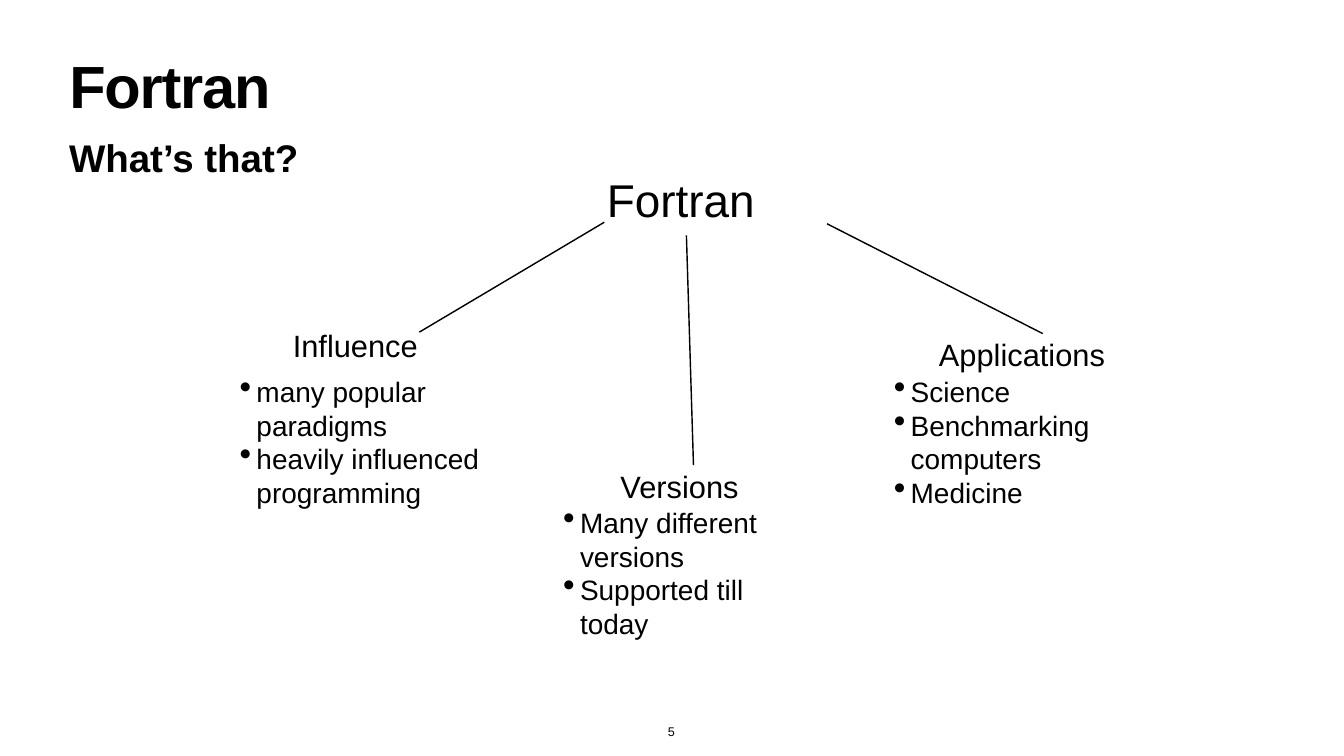
from typing import NamedTuple

from lxml import etree
from pptx import Presentation
from pptx.dml.color import RGBColor
from pptx.enum.shapes import MSO_CONNECTOR
from pptx.enum.text import MSO_ANCHOR, MSO_AUTO_SIZE, PP_ALIGN
from pptx.oxml.ns import qn
from pptx.util import Pt

BLACK = RGBColor(0, 0, 0)
WHITE = RGBColor(255, 255, 255)
FONT = "Arial"
TOP, BOTTOM = MSO_ANCHOR.TOP, MSO_ANCHOR.BOTTOM
LEFT, CENTER = PP_ALIGN.LEFT, PP_ALIGN.CENTER
NO_FIT, GROW = MSO_AUTO_SIZE.NONE, MSO_AUTO_SIZE.SHAPE_TO_FIT_TEXT
STRAIGHT = MSO_CONNECTOR.STRAIGHT
BULLET_INDENT = 24


class Area(NamedTuple):
    """A rectangle in points."""
    left: float
    top: float
    width: float
    height: float


class Branch(NamedTuple):
    """One topic below the root: heading, list and connecting line."""
    heading: str
    heading_area: Area
    items: list[str]
    list_area: Area
    line: tuple[float, float, float, float]


BRANCHES = [
    Branch("Influence", Area(414.7, 463.7, 219.6, 73.4),
           ["many popular paradigms", "heavily influenced programming"],
           Area(338.4, 531.4, 371.5, 201.6), (599, 474.5, 863.3, 317.5)),
    Branch("Versions", Area(882.7, 664.6, 215.3, 73.4),
           ["Many different versions", "Supported till today"],
           Area(800.6, 718.6, 317.5, 201.6), (990.7, 664.6, 980.6, 336.2)),
    Branch("Applications", Area(1337.8, 476.6, 304.6, 73.4),
           ["Science", "Benchmarking computers", "Medicine"],
           Area(1273, 531.4, 429.8, 250.6), (1489.7, 476.6, 1181.5, 319.7)),
]


def set_bullet(para, bulleted: bool) -> None:
    """Give a paragraph a hanging round bullet, or none at all."""
    properties = para._p.get_or_add_pPr()
    indent = Pt(BULLET_INDENT) if bulleted else 0
    properties.set("marL", str(indent))
    properties.set("indent", str(-indent))
    if bulleted:
        etree.SubElement(properties, qn("a:buSzPct")).set("val", "123000")
        etree.SubElement(properties, qn("a:buChar")).set("char", "•")
    else:
        etree.SubElement(properties, qn("a:buNone"))


def write(box, lines: list[str], area: Area, *, size: float, bold: bool = False,
          inset: float = 3.6, line_spacing: float = 1.0, letter_spacing: float = 0,
          bulleted: bool = False, align=LEFT, anchor=TOP, fit=NO_FIT,
          wrap: bool = True) -> None:
    """Place a text shape and fill it with formatted paragraphs."""
    box.left, box.top, box.width, box.height = (Pt(length) for length in area)
    frame = box.text_frame
    frame.word_wrap = wrap
    frame.auto_size = fit
    frame.vertical_anchor = anchor
    frame.margin_left = frame.margin_right = Pt(inset)
    frame.margin_top = frame.margin_bottom = Pt(inset)
    for index, line in enumerate(lines):
        para = frame.add_paragraph() if index else frame.paragraphs[0]
        para.alignment = align
        para.line_spacing = line_spacing
        para.space_before = para.space_after = Pt(0)
        set_bullet(para, bulleted)
        span = para.add_run()
        span.text = line
        font = span.font
        font.name, font.size, font.bold = FONT, Pt(size), bold
        font.color.rgb = BLACK
        if letter_spacing:
            span._r.get_or_add_rPr().set("spc", str(round(letter_spacing * 100)))


def add_text(page, lines: list[str], area: Area, **text_format) -> None:
    """Add a text box with formatted paragraphs."""
    box = page.shapes.add_textbox(*(Pt(length) for length in area))
    write(box, lines, area, **text_format)


def add_line(page, ends: tuple[float, float, float, float]) -> None:
    """Draw a plain black line between two points."""
    line = page.shapes.add_connector(STRAIGHT, *(Pt(length) for length in ends))
    line.line.color.rgb = BLACK
    line.line.width = Pt(2)
    etree.SubElement(line._element.spPr, qn("a:effectLst"))


def add_branch(page, branch: Branch) -> None:
    """Draw a topic with its line, heading and bullet list."""
    add_line(page, branch.line)
    add_text(page, [branch.heading], branch.heading_area, size=44)
    add_text(page, branch.items, branch.list_area, size=40, inset=4,
             bulleted=True, fit=GROW)


def main() -> None:
    """Build the slide and save it."""
    deck = Presentation()
    deck.slide_width, deck.slide_height = Pt(1920), Pt(1080)
    page = deck.slides.add_slide(deck.slide_layouts[1])
    page.background.fill.solid()
    page.background.fill.fore_color.rgb = WHITE

    write(page.shapes.title, ["Fortran"], Area(95, 85, 1730, 113), size=85,
          bold=True, inset=4, line_spacing=0.8, letter_spacing=-1.7)
    write(page.placeholders[1], ["What’s that?"], Area(95, 187.2, 1730, 73.4),
          size=55, bold=True)
    add_text(page, ["Fortran"], Area(863.3, 250.6, 235.4, 85.7), size=65.6,
             line_spacing=0.9)
    for branch in BRANCHES:
        add_branch(page, branch)
    add_text(page, ["5"], Area(944.6, 1030.3, 28.8, 29.5), size=18, inset=4,
             align=CENTER, anchor=BOTTOM, fit=GROW, wrap=False)
    deck.save("out.pptx")


main()
